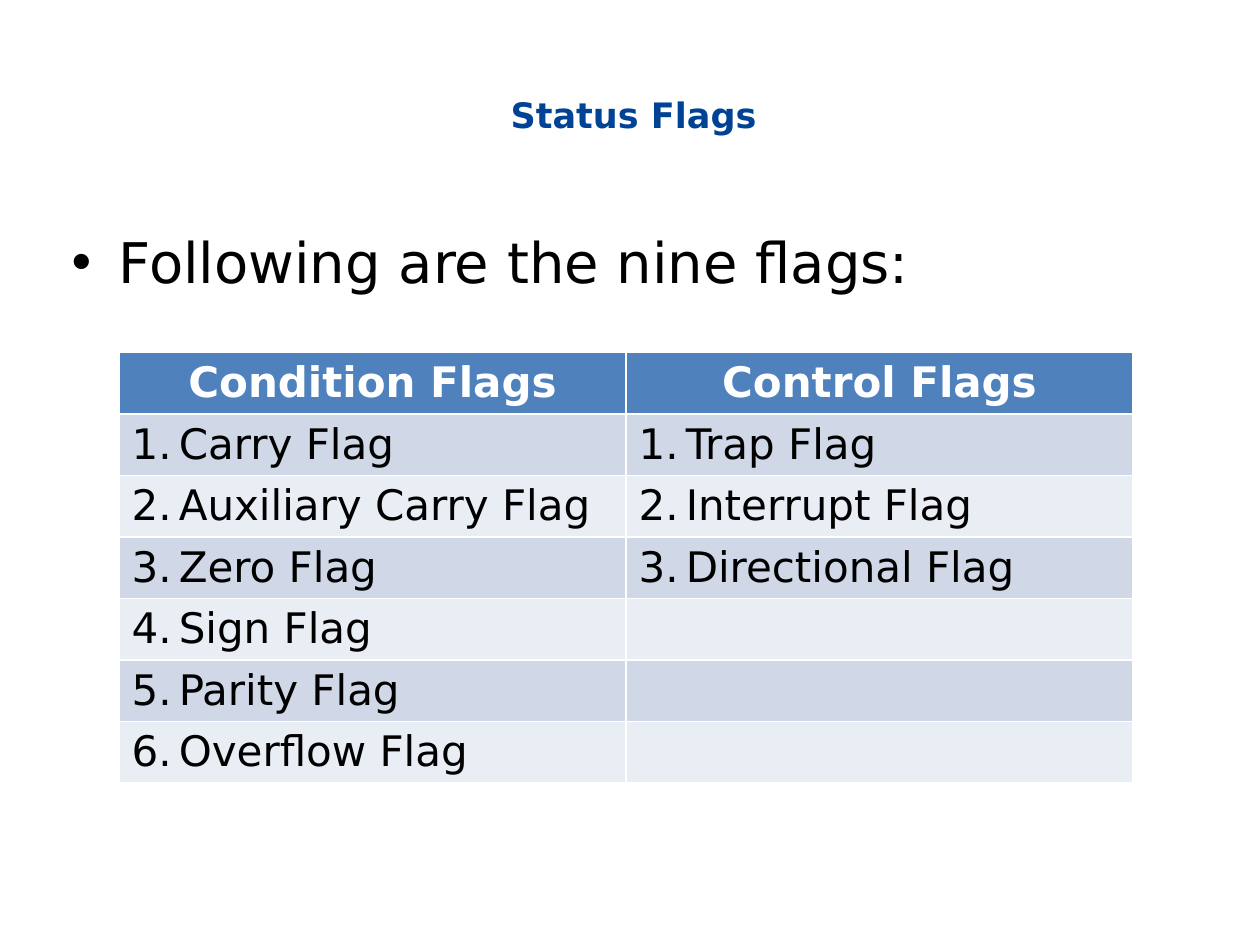
from itertools import zip_longest

from lxml.etree import SubElement
from pptx import Presentation
from pptx.dml.color import RGBColor as RGB
from pptx.enum.text import MSO_ANCHOR as Anchor, PP_ALIGN as Align
from pptx.oxml.ns import qn
from pptx.util import Cm, Pt


class Theme:
    face = "DejaVu Sans"
    title, body, cell = Pt(20), Pt(32), Pt(24)
    navy = RGB.from_string("004395")
    black = RGB.from_string("000000")
    white = RGB.from_string("FFFFFF")
    head = RGB.from_string("4F81BD")
    bands = [RGB.from_string("D0D8E8"), RGB.from_string("E9EDF4")]


def style(para, size, color, bold=False):
    font = para.font
    font.name, font.size, font.bold = Theme.face, size, bold
    font.color.rgb = color


def number(para, start):
    """Give the paragraph an automatic number with a hanging indent."""
    props = para._p.get_or_add_pPr()
    props.set("marL", str(Cm(0.95)))
    props.set("indent", str(Cm(-0.95)))
    SubElement(props, qn("a:buFont"), typeface="+mj-lt")
    SubElement(props, qn("a:buAutoNum"), type="arabicPeriod", startAt=str(start))


prs = Presentation()
prs.slide_width, prs.slide_height = Cm(25.4), Cm(19.05)
slide = prs.slides.add_slide(prs.slide_layouts[1])

# Title
title = slide.shapes.title
title.left, title.top, title.width, title.height = Cm(1.27), Cm(0.71), Cm(22.86), Cm(3.18)
title.text_frame.text = "Status Flags"
title.text_frame.vertical_anchor = Anchor.MIDDLE
para = title.text_frame.paragraphs[0]
para.alignment = Align.CENTER
para._p.get_or_add_pPr().set("marL", str(Cm(0.15)))
style(para, Theme.title, Theme.navy, True)

# Lead-in line
body = slide.placeholders[1]
body.left, body.top, body.width, body.height = Cm(1.19), Cm(4.45), Cm(22.94), Cm(2.11)
body.text_frame.text = "Following are the nine flags:"
para = body.text_frame.paragraphs[0]
para.space_after = Pt(18)
style(para, Theme.body, Theme.black)

# Table of flags
heads = ["Condition Flags", "Control Flags"]
condition = ["Carry Flag", "Auxiliary Carry Flag", "Zero Flag",
             "Sign Flag", "Parity Flag", "Overflow Flag"]
control = ["Trap Flag", "Interrupt Flag", "Directional Flag"]
rows = [heads, *zip_longest(condition, control, fillvalue="")]

high = Cm(1.24)
table = slide.shapes.add_table(len(rows), len(heads), Cm(2.4), Cm(7.1),
                               Cm(20.44), high * len(rows)).table
for r, texts in enumerate(rows):
    table.rows[r].height = high
    for c, text in enumerate(texts):
        cell = table.cell(r, c)
        cell.text = text
        para = cell.text_frame.paragraphs[0]
        cell.fill.solid()
        if r == 0:
            cell.fill.fore_color.rgb = Theme.head
            para.alignment = Align.CENTER
            style(para, Theme.cell, Theme.white, True)
        else:
            cell.fill.fore_color.rgb = Theme.bands[(r - 1) % 2]
            if text:
                number(para, r)
            style(para, Theme.cell, Theme.black)

prs.save("out.pptx")
